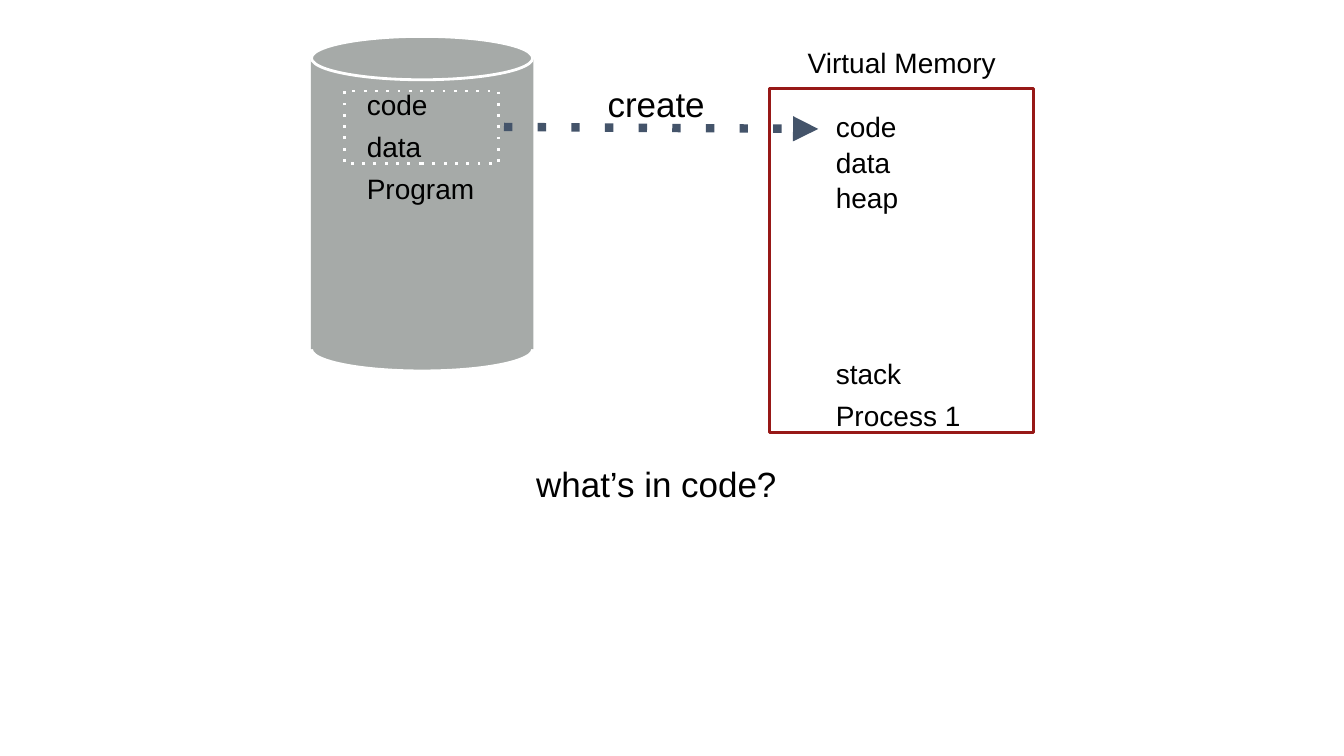
from pptx import Presentation
from pptx import util as u
from pptx.dml import color
from pptx.enum import shapes, text
from pptx.oxml import ns
from lxml import etree

GREY, WHITE, RED, BLUE, BLACK = "A6AAA8", "FFFFFF", "971817", "44546A", "000000"


def rgb(value):
    """Turn a hex string into a colour."""
    return color.RGBColor.from_string(value)


def add_line_detail(shape, tag, **attributes):
    """Append a dash or arrowhead element to the outline of a shape."""
    outline = shape._element.spPr.find(ns.qn("a:ln"))
    etree.SubElement(outline, ns.qn(tag), attributes)


def add_block(slide, kind, box, fill=None, line=None):
    """Draw a preset shape with an optional fill and a 2-point outline."""
    shape = slide.shapes.add_shape(kind, *map(u.Pt, box))
    shape.shadow.inherit = False
    if fill:
        shape.fill.solid()
        shape.fill.fore_color.rgb = rgb(fill)
    else:
        shape.fill.background()
    if line:
        shape.line.color.rgb = rgb(line)
        shape.line.width = u.Pt(2)
    else:
        shape.line.fill.background()
    return shape


def add_label(slide, box, rows, size=20, inset=3, anchor=text.MSO_ANCHOR.MIDDLE):
    """Write rows of (wording, line spacing, space before) into a box."""
    frame = slide.shapes.add_textbox(*map(u.Pt, box)).text_frame
    frame.word_wrap = True
    frame.vertical_anchor = anchor
    frame.margin_left = frame.margin_right = u.Pt(inset)
    frame.margin_top = frame.margin_bottom = u.Pt(inset)
    for index, (wording, spacing, before) in enumerate(rows):
        paragraph = frame.add_paragraph() if index else frame.paragraphs[0]
        paragraph.text = wording
        paragraph.line_spacing = spacing
        if before:
            paragraph.space_before = u.Pt(before)
        for run in paragraph.runs:
            run.font.size = u.Pt(size)
            run.font.name = "Arial"
            run.font.color.rgb = rgb(BLACK)


def add_disk(slide, left, top, width, height):
    """Draw the disk cylinder holding the program."""
    cap = 31
    oval, rectangle = shapes.MSO_SHAPE.OVAL, shapes.MSO_SHAPE.RECTANGLE
    add_block(slide, oval, (left + 0.5, top + height - cap, width - 1, cap), GREY, WHITE)
    add_block(slide, rectangle, (left, top + cap / 2, width, height - cap), GREY)
    add_block(slide, oval, (left + 0.5, top, width - 1, cap), GREY, WHITE)
    rows = [("code", 0.8, 0), ("data", 1.25, 0), ("Program", 1.25, 0)]
    add_label(slide, (left + 37, top + 39, 97, 83.5), rows)
    program = add_block(slide, rectangle, (left + 24, top + 39, 110, 52), line=WHITE)
    add_line_detail(program, "a:prstDash", val="dot")


def add_memory(slide, left, top, width, height):
    """Draw the virtual memory of the process with its title above."""
    add_block(slide, shapes.MSO_SHAPE.RECTANGLE, (left, top, width, height), WHITE, RED)
    rows = [("code\vdata", 1.06, 0), ("heap", 1.06, 0),
            ("stack", 1.06, 100), ("Process 1", 1.25, 0)]
    add_label(slide, (left + 47.5, top + 13.5, 118, height - 18), rows,
              inset=0, anchor=text.MSO_ANCHOR.TOP)
    add_label(slide, (left + 24.5, top - 29.5, 150, 25), [("Virtual Memory", 0.8, 0)])


def add_create_arrow(slide, left, top, width, height):
    """Draw the dotted arrow from disk to memory with its label."""
    arrow = slide.shapes.add_connector(
        shapes.MSO_CONNECTOR.STRAIGHT,
        *map(u.Pt, (left, top, left + width, top + height)))
    arrow.line.color.rgb = rgb(BLUE)
    arrow.line.width = u.Pt(6)
    add_line_detail(arrow, "a:prstDash", val="dot")
    add_line_detail(arrow, "a:tailEnd", type="triangle")
    etree.SubElement(arrow._element.spPr, ns.qn("a:effectLst"))
    add_label(slide, (left + 71, top - 34.5, 78, 36), [("create", 1.0, 0)], size=25)


def add_question(slide, left, top, width, height):
    """Write the question below the diagram."""
    add_label(slide, (left, top, width, height), [("what’s in code?", 1.0, 0)], size=25)


def main():
    """Build the process creation slide."""
    presentation = Presentation()
    presentation.slide_width, presentation.slide_height = u.Pt(960), u.Pt(540)
    slide = presentation.slides.add_slide(presentation.slide_layouts[6])
    add_disk(slide, 222, 26, 159, 239)
    add_memory(slide, 549.5, 63.5, 188.5, 245.5)
    add_create_arrow(slide, 360, 90.7, 224.5, 1.4)
    add_question(slide, 380, 327, 180, 36)
    presentation.save("out.pptx")


if __name__ == "__main__":
    main()
